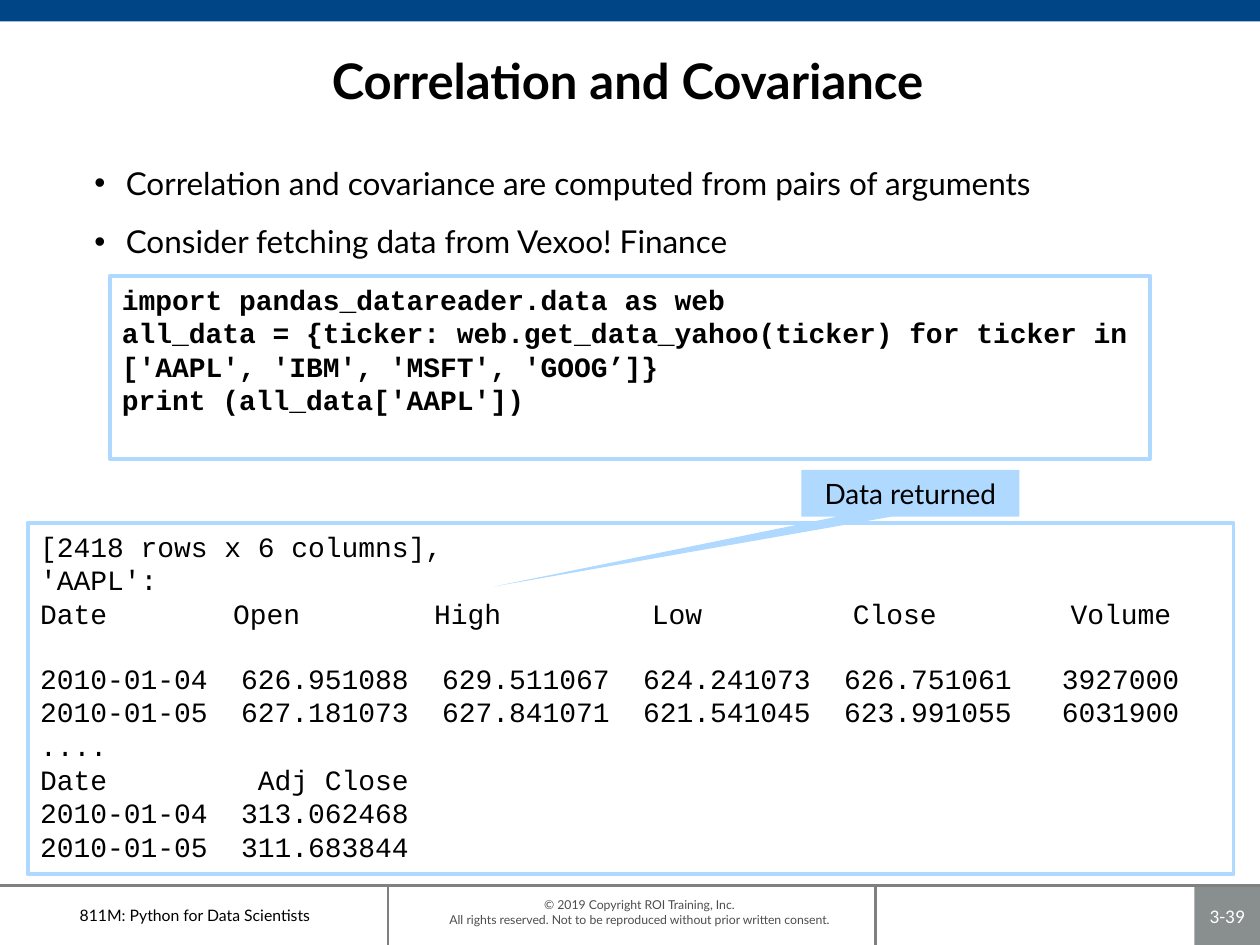
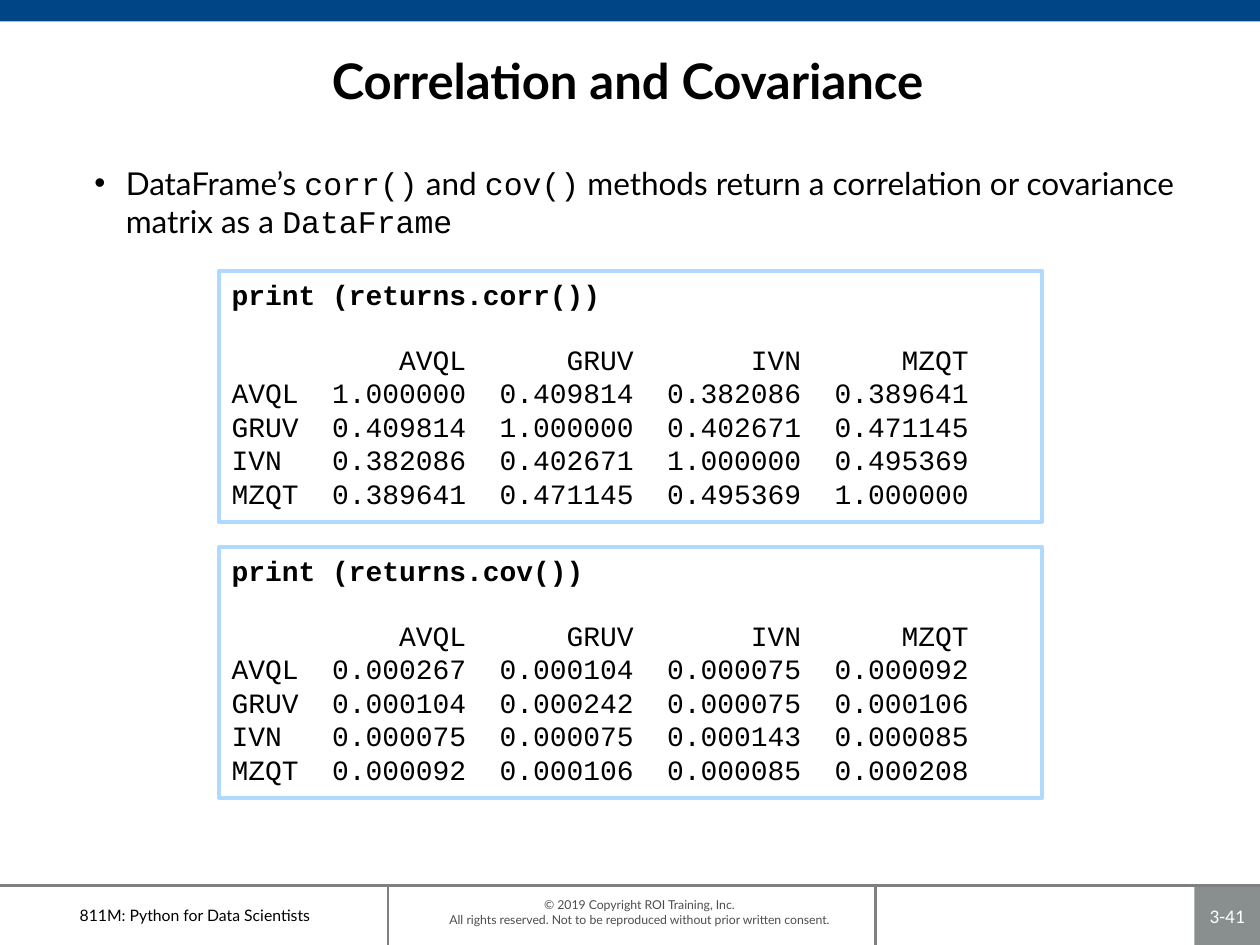
from dataclasses import dataclass

from lxml import etree
from pptx import Presentation
from pptx.dml.color import RGBColor
from pptx.enum.shapes import MSO_CONNECTOR, MSO_SHAPE
from pptx.enum.text import MSO_ANCHOR, PP_ALIGN
from pptx.oxml.ns import qn
from pptx.util import Inches, Pt


@dataclass(frozen=True)
class Theme:
    black: str = "000000"
    white: str = "FFFFFF"
    band: str = "004686"
    accent: str = "AFD9FF"
    rule: str = "808080"
    page_tab: str = "898F8F"
    copyright: str = "4D4D4D"
    text_font: str = "Lato"
    code_font: str = "Courier New"
    page_font: str = "Calibri"
    title_size: float = 28
    body_size: float = 18
    code_size: float = 16
    page_size: float = 11
    footer_size: float = 9
    copyright_size: float = 7
    code_gap: float = 18
    bullet_gap: float = 12
    box_line: float = 2.25
    rule_line: float = 1.5


THEME = Theme()
SLIDE_WIDTH, SLIDE_HEIGHT = 10, 7.5
FOOTER_TOP = 7.03
TITLE = "Correlation and Covariance"
TICKERS = ["AVQL", "GRUV", "IVN", "MZQT"]

CORRELATIONS = [
    [1.000000, 0.409814, 0.382086, 0.389641],
    [0.409814, 1.000000, 0.402671, 0.471145],
    [0.382086, 0.402671, 1.000000, 0.495369],
    [0.389641, 0.471145, 0.495369, 1.000000],
]
COVARIANCES = [
    [0.000267, 0.000104, 0.000075, 0.000092],
    [0.000104, 0.000242, 0.000075, 0.000106],
    [0.000075, 0.000075, 0.000143, 0.000085],
    [0.000092, 0.000106, 0.000085, 0.000208],
]

FETCH_CODE = [
    "import pandas_datareader.data as web",
    "all_data = {ticker: web.get_data_yahoo(ticker) for ticker in "
    "['AAPL', 'IBM', 'MSFT', 'GOOG’]}",
    "print (all_data['AAPL'])",
]
FETCH_HEADER = [
    "[2418 rows x 6 columns],",
    "'AAPL':",
    "Date\t    Open        High         Low         Close        Volume",
]
FETCH_ROWS = [
    "2010-01-04  626.951088  629.511067  624.241073  626.751061   3927000",
    "2010-01-05  627.181073  627.841071  621.541045  623.991055   6031900",
    "....",
    "Date         Adj Close",
    "2010-01-04  313.062468",
    "2010-01-05  311.683844",
]


def inches(*lengths):
    return [Inches(length) for length in lengths]


def add_run(paragraph, text, size, color=THEME.black, font=THEME.text_font, bold=False):
    run = paragraph.add_run()
    run.text = text
    run.font.size = Pt(size)
    run.font.name = font
    run.font.bold = bold
    run.font.color.rgb = RGBColor.from_string(color)


def prepare_frame(shape, anchor=MSO_ANCHOR.TOP, margins=(0.1, 0.05)):
    """Set wrapping, anchor and (side, top and bottom) margins."""
    frame = shape.text_frame
    frame.word_wrap = True
    frame.vertical_anchor = anchor
    side, end = inches(*margins)
    frame.margin_left = frame.margin_right = side
    frame.margin_top = frame.margin_bottom = end
    return frame


def add_text_box(slide, area, **frame_options):
    return prepare_frame(slide.shapes.add_textbox(*inches(*area)), **frame_options)


def add_block(slide, area, fill=None, line=None, preset=MSO_SHAPE.RECTANGLE):
    block = slide.shapes.add_shape(preset, *inches(*area))
    block.shadow.inherit = False
    if fill:
        block.fill.solid()
        block.fill.fore_color.rgb = RGBColor.from_string(fill)
    else:
        block.fill.background()
    if line:
        block.line.color.rgb = RGBColor.from_string(line)
        block.line.width = Pt(THEME.box_line)
    else:
        block.line.fill.background()
    return block


def add_centred_text(frame, text, size, **run_options):
    paragraph = frame.paragraphs[0]
    paragraph.alignment = PP_ALIGN.CENTER
    for index, line in enumerate(text.split("\n")):
        if index:
            paragraph.add_line_break()
        add_run(paragraph, line, size, **run_options)


def add_rule(slide, *ends):
    rule = slide.shapes.add_connector(MSO_CONNECTOR.STRAIGHT, *inches(*ends))
    rule.line.color.rgb = RGBColor.from_string(THEME.rule)
    rule.line.width = Pt(THEME.rule_line)
    properties = rule._element.find(qn("p:spPr"))
    etree.SubElement(properties, qn("a:effectLst"))


def add_footer(slide, page):
    footer_height = SLIDE_HEIGHT - FOOTER_TOP
    page_tab = add_block(slide, (9.48, FOOTER_TOP, 0.52, footer_height), THEME.page_tab)
    add_centred_text(
        prepare_frame(page_tab, MSO_ANCHOR.MIDDLE, (0.04, 0.04)),
        page, THEME.page_size, color=THEME.white, font=THEME.page_font,
    )
    add_rule(slide, 0, FOOTER_TOP, SLIDE_WIDTH, FOOTER_TOP)
    for divider in (3.08, 6.95):
        add_rule(slide, divider, FOOTER_TOP, divider, SLIDE_HEIGHT)
    add_centred_text(
        add_text_box(slide, (2.45, 7.12, 5.25, 0.24), margins=(0.1, 0)),
        "© 2019 Copyright ROI Training, Inc.\n"
        "All rights reserved. Not to be reproduced without prior written consent.",
        THEME.copyright_size, color=THEME.copyright,
    )
    add_centred_text(
        add_text_box(slide, (0, FOOTER_TOP, 3.09, footer_height), anchor=MSO_ANCHOR.MIDDLE),
        "811M: Python for Data Scientists", THEME.footer_size,
    )


def add_titled_slide(deck, page):
    slide = deck.slides.add_slide(deck.slide_layouts[6])
    add_footer(slide, page)
    add_block(slide, (0, 0, SLIDE_WIDTH, 0.17), THEME.band)
    title = add_text_box(slide, (1.15, 0.29, 7.66, 0.69), anchor=MSO_ANCHOR.MIDDLE)
    add_centred_text(title, TITLE, THEME.title_size, bold=True)
    return slide


def set_bullet(paragraph):
    properties = paragraph._p.get_or_add_pPr()
    properties.set("marL", str(Inches(0.25)))
    properties.set("indent", str(Inches(-0.25)))
    color = etree.SubElement(properties, qn("a:buClr"))
    etree.SubElement(color, qn("a:srgbClr")).set("val", THEME.black)
    etree.SubElement(properties, qn("a:buFont")).set("typeface", "Arial")
    etree.SubElement(properties, qn("a:buChar")).set("char", "•")


def add_bullets(slide, height, bullets):
    """Each bullet is a list of parts that alternate between prose and code."""
    frame = add_text_box(slide, (0.65, 1.25, 8.77, height))
    for index, parts in enumerate(bullets):
        paragraph = frame.add_paragraph() if index else frame.paragraphs[0]
        set_bullet(paragraph)
        if index:
            paragraph.space_before = Pt(THEME.bullet_gap)
        for position, part in enumerate(parts):
            font = THEME.code_font if position % 2 else THEME.text_font
            add_run(paragraph, part, THEME.body_size, font=font)


def add_code_box(slide, area, *sections, bold_first=False):
    """Write sections of code lines, one line's height apart."""
    frame = prepare_frame(add_block(slide, area, line=THEME.accent))
    paragraph = None
    for section_index, lines in enumerate(sections):
        for line_index, line in enumerate(lines):
            paragraph = frame.add_paragraph() if paragraph else frame.paragraphs[0]
            paragraph.alignment = PP_ALIGN.LEFT
            if section_index and not line_index:
                paragraph.space_before = Pt(THEME.code_gap)
            add_run(paragraph, line, THEME.code_size, font=THEME.code_font,
                    bold=bold_first and not section_index)


def add_callout(slide, area, text, tip):
    callout = add_block(slide, area, THEME.accent, preset=MSO_SHAPE.RECTANGULAR_CALLOUT)
    callout.adjustments[0], callout.adjustments[1] = tip
    add_centred_text(prepare_frame(callout, MSO_ANCHOR.MIDDLE), text, THEME.code_size)


def matrix_lines(matrix):
    header = " " * 4 + "".join(f"{ticker:>10}" for ticker in TICKERS)
    rows = [
        f"{ticker:<4}" + "".join(f"{value:10.6f}" for value in values)
        for ticker, values in zip(TICKERS, matrix)
    ]
    return [header, *rows]


def build_fetch_slide(deck):
    slide = add_titled_slide(deck, "3-39")
    add_bullets(slide, 5.54, [
        ["Correlation and covariance are computed from pairs of arguments"],
        ["Consider fetching data from Vexoo! Finance"],
    ])
    add_code_box(slide, (0.87, 2.19, 8.26, 1.45), FETCH_CODE, bold_first=True)
    add_code_box(slide, (0.22, 4.15, 9.57, 2.79), FETCH_HEADER, FETCH_ROWS)
    add_callout(slide, (6.36, 3.73, 1.73, 0.37), "Data returned", (-1.91, 2))


def build_matrix_slide(deck):
    slide = add_titled_slide(deck, "3-41")
    add_bullets(slide, 2.09, [[
        "DataFrame’s ", "corr()", " and ", "cov()",
        " methods return a correlation or covariance matrix as a ", "DataFrame",
    ]])
    results = [("corr", CORRELATIONS), ("cov", COVARIANCES)]
    for index, (method, matrix) in enumerate(results):
        add_code_box(slide, (1.74, 2.15 + index * 2.19, 6.53, 1.99),
                     [f"print (returns.{method}())"], matrix_lines(matrix),
                     bold_first=True)


def main():
    deck = Presentation()
    deck.slide_width, deck.slide_height = inches(SLIDE_WIDTH, SLIDE_HEIGHT)
    build_fetch_slide(deck)
    build_matrix_slide(deck)
    deck.save("out.pptx")


if __name__ == "__main__":
    main()
